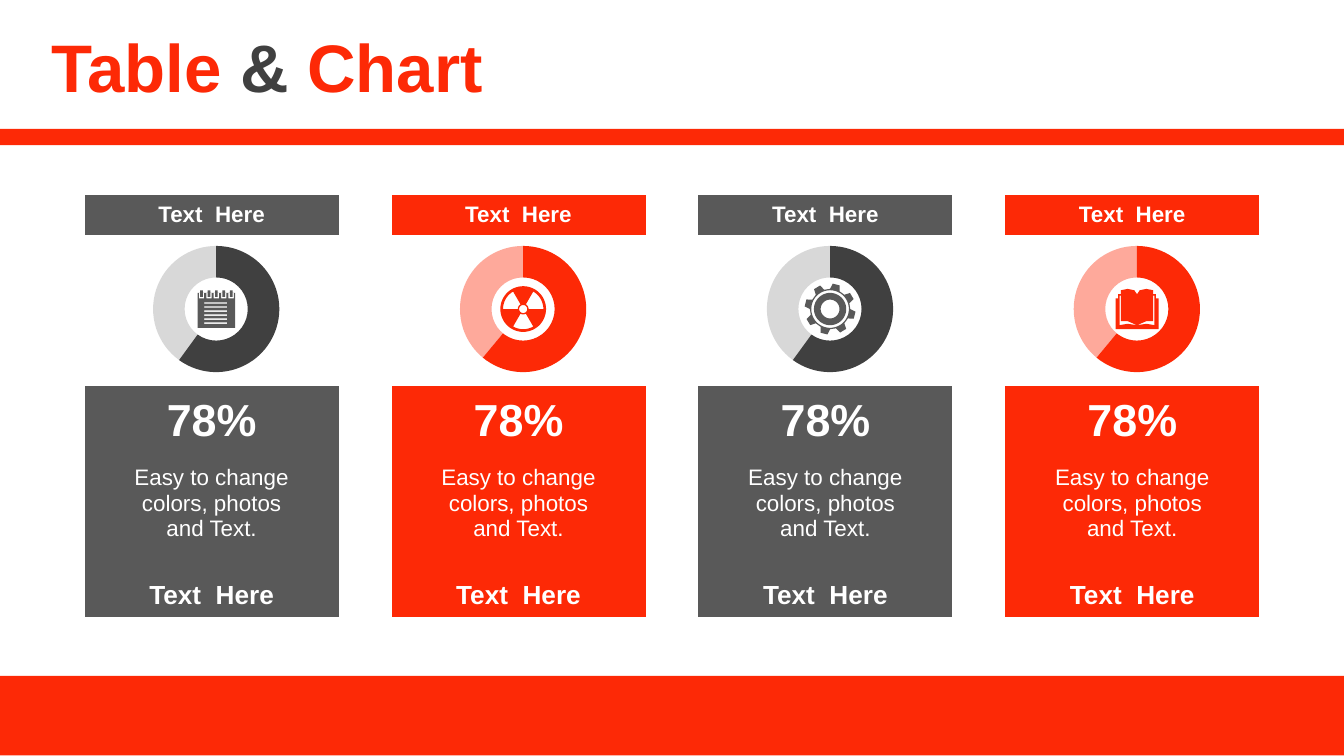
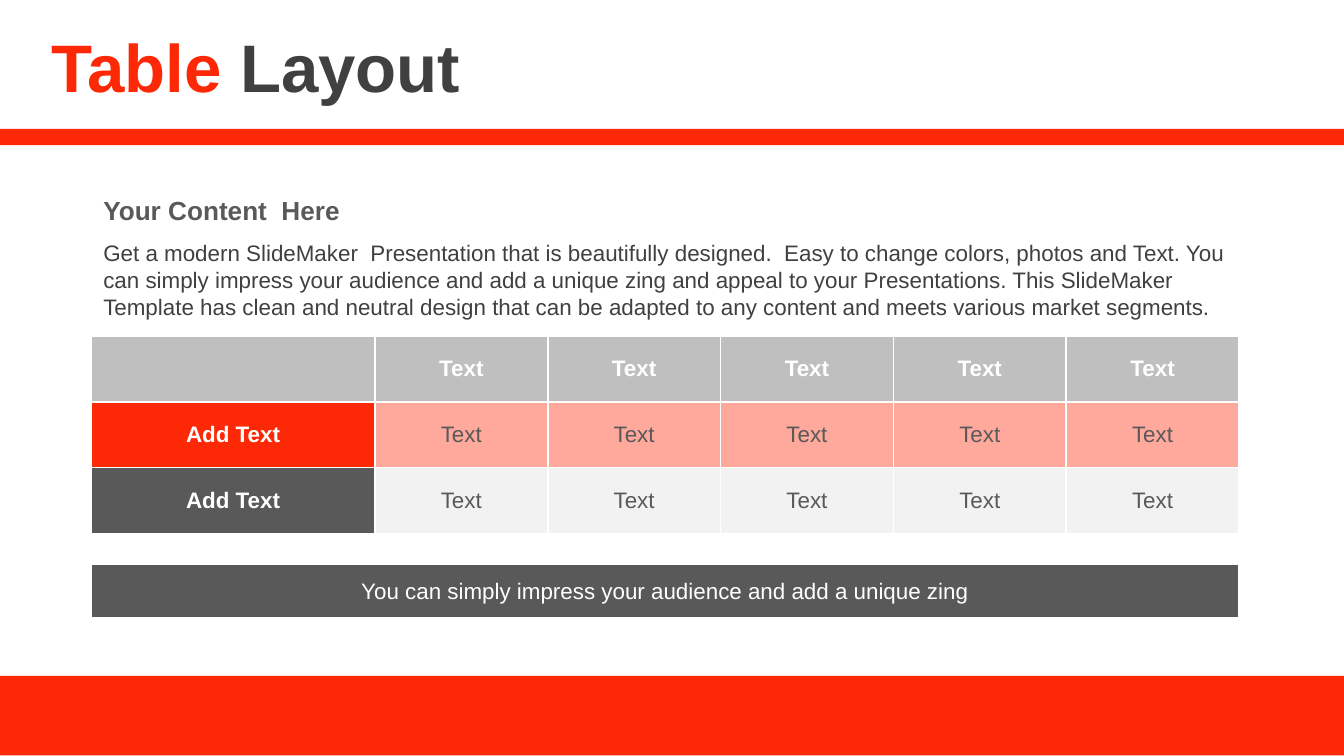
import math

import pptx
import pptx.chart.data
import pptx.dml.color
import pptx.enum.chart
import pptx.enum.shapes
import pptx.enum.text
import pptx.oxml
import pptx.oxml.ns
import pptx.util

Inches = pptx.util.Inches
qn = pptx.oxml.ns.qn
ALIGN = pptx.enum.text.PP_ALIGN
MIDDLE = pptx.enum.text.MSO_ANCHOR.MIDDLE
RED, DARK, GREY, WHITE = "FD2906", "404040", "595959", "FFFFFF"
SILVER, PALE = "BFBFBF", "F2F2F2"
PLAIN = "{2D5ABB26-0587-4C30-8999-92F81FD0307C}"  # table style without fills or grid


def paint(fill, color, alpha=100):
    """Make a fill solid, with its opacity in percent."""
    fill.solid()
    fill.fore_color.rgb = pptx.dml.color.RGBColor.from_string(color)
    if alpha < 100:
        tone = fill._xPr.find(qn("a:solidFill")).find(qn("a:srgbClr"))
        tone.append(pptx.oxml.parse_xml(
            f'<a:alpha {pptx.oxml.ns.nsdecls("a")} val="{alpha * 1000}"/>'))


def write(frame, parts, size, bold=False, align=ALIGN.CENTER):
    """Fill the first paragraph with (text, colour) runs."""
    para = frame.paragraphs[0]
    para.alignment = align
    look = {"name": "Arial", "size": pptx.util.Pt(size), "bold": bold}
    for text, color in parts:
        run = para.add_run()
        run.text = text
        for key, value in look.items():
            setattr(run.font, key, value)
        paint(run.font.fill, color)


prs = pptx.Presentation()
prs.slide_width, prs.slide_height = Inches(10), Inches(10 * 9 / 16)
layout = prs.slide_layouts[5]

# Slides with their titles
titles = [
    [("Table ", RED), ("& ", DARK), ("Chart", RED)],
    [("Table ", RED), ("Layout", DARK)],
]
slides = []
for parts in titles:
    slide = prs.slides.add_slide(layout)
    title = slide.shapes.title
    title.left, title.top = Inches(0.28), Inches(0)
    title.width, title.height = Inches(9.72), Inches(0.97)
    title.text_frame.vertical_anchor = MIDDLE
    write(title.text_frame, parts, 36, True, ALIGN.LEFT)
    slides.append(slide)
cards, grid = slides

# Bands shared through the layout
for top, height in [(5.03, 0.59), (0.96, 0.12)]:
    band = cards.shapes.add_shape(
        pptx.enum.shapes.MSO_SHAPE.RECTANGLE,
        0, Inches(top), prs.slide_width, Inches(height))
    band.shadow.inherit = False
    paint(band.fill, RED)
    band.line.fill.background()
    layout.shapes._spTree.insert(2, band._element)

# Icon outlines in inches around their centre; inner outlines cut holes
unit = [(math.cos(math.radians(a)), math.sin(math.radians(a)))
        for a in range(0, 360, 6)]

boxes = [(-0.14, -0.12, 0.14, 0.14)]
boxes += [(-0.09, -0.05 + 0.03 * n, 0.08, -0.04 + 0.03 * n) for n in range(6)]
for n in range(5):
    mid = 0.055 * (n - 2)
    boxes += [(mid - 0.02, -0.12, mid + 0.02, -0.08),
              (mid - 0.01, -0.14, mid + 0.01, -0.09)]
notepad = [[(l, t), (r, t), (r, b), (l, b)] for l, t, r, b in boxes]

hazard = [[(r * x, r * y) for x, y in unit] for r in (0.17, 0.03)]
for first in (10, 30, 50):
    arc = [unit[k % 60] for k in range(first, first + 11)]
    hazard.append([(0.15 * x, 0.15 * y) for x, y in arc]
                  + [(0.04 * x, 0.04 * y) for x, y in reversed(arc)])

teeth = []
for n in range(8):
    for turn, r in [(-14, 0.15), (-8, 0.19), (8, 0.19), (14, 0.15)]:
        angle = math.radians(14 + 45 * n + turn)
        teeth.append((r * math.cos(angle), r * math.sin(angle)))
gear = [teeth] + [[(r * x, r * y) for x, y in unit] for r in (0.14, 0.12, 0.07)]

cover = [(0, -0.11), (0.02, -0.14), (0.07, -0.15), (0.12, -0.14), (0.12, -0.11),
         (0.14, -0.11), (0.14, -0.08), (0.16, -0.08), (0.16, 0.15)]
edge = [(0, 0.12), (0.07, 0.11), (0.13, 0.12), (0.13, -0.1), (0.12, -0.1),
        (0.12, 0.09), (0.07, 0.09), (0, 0.12)]
book = [cover + [(-x, y) for x, y in reversed(cover)],
        edge, [(-x, y) for x, y in edge]]

# Slide 1: four cards, each a table, a doughnut and an icon
# Rows: height, text, size, bold, top and bottom margin
rows = [
    (0.3, "Text  Here", 12, True, 0.05, 0.05),
    (1.12, "", 0, False, 0.05, 0.05),
    (0.52, "78%", 24, True, 0.05, 0.05),
    (0.83, "Easy to change colors, photos and Text.", 12, False, 0.05, 0.17),
    (0.36, "Text  Here", 14, True, 0.1, 0.05),
]
styles = [(GREY, DARK, 60, 20), (RED, RED, 61, 40)]
for n, icon in enumerate([notepad, hazard, gear, book]):
    color, ring, share, alpha = styles[n % 2]
    left = 0.63 + 6.85 * n / 3
    holder = cards.shapes.add_table(
        5, 3, Inches(left), Inches(1.45), Inches(1.89), Inches(3.2))
    table = holder.table
    table.first_row = table.horz_banding = False
    table._tbl.tblPr.find(qn("a:tableStyleId")).text = PLAIN
    for col, width in zip(table.columns, [0.245, 1.4, 0.245]):
        col.width = Inches(width)
    for r, (height, text, size, bold, above, below) in enumerate(rows):
        table.rows[r].height = Inches(height)
        for c in range(3):
            if text:
                paint(table.cell(r, c).fill, color)
            else:
                table.cell(r, c).fill.background()
        whole = r in (0, 1, 4)
        if whole:
            table.cell(r, 0).merge(table.cell(r, 2))
        if text:
            cell = table.cell(r, 0 if whole else 1)
            cell.vertical_anchor = MIDDLE
            cell.margin_top, cell.margin_bottom = Inches(above), Inches(below)
            write(cell.text_frame, [(text, WHITE)], size, bold)
    holder.height = Inches(3.2)

    data = pptx.chart.data.CategoryChartData()
    data.categories = ["1", "2"]
    data.add_series("Series 1", [share, 100 - share])
    chart = cards.shapes.add_chart(
        pptx.enum.chart.XL_CHART_TYPE.DOUGHNUT,
        Inches(left + 0.45), Inches(1.83), Inches(1.08), Inches(0.94), data).chart
    chart.has_legend = chart.has_title = False
    chart.font.name, chart.font.size = "Arial", pptx.util.Pt(18)
    paint(chart.font.fill, "000000")
    plot = chart.plots[0]
    plot.has_data_labels = False
    for k, tint in enumerate([100, alpha]):
        look = plot.series[0].points[k].format
        paint(look.fill, ring, tint)
        look.line.fill.background()
    area = chart._chartSpace.find(".//" + qn("c:plotArea"))
    area.find(".//" + qn("c:holeSize")).set("val", "70")
    for old in area.findall(qn("c:layout")):
        area.remove(old)
    spots = [("x", 0.04), ("y", 0), ("w", 0.9), ("h", 1)]
    area.insert(0, pptx.oxml.parse_xml(
        f'<c:layout {pptx.oxml.ns.nsdecls("c")}><c:manualLayout>'
        '<c:layoutTarget val="inner"/><c:xMode val="edge"/><c:yMode val="edge"/>'
        + "".join(f'<c:{key} val="{value}"/>' for key, value in spots)
        + "</c:manualLayout></c:layout>"))

    for k, outline in enumerate(icon):
        points = [(Inches(left + 0.98 + x), Inches(2.3 + y)) for x, y in outline]
        if k == 0:
            pen = cards.shapes.build_freeform(*points[0])
        else:
            pen.move_to(*points[0])
        pen.add_line_segments(points[1:], close=True)
    shape = pen.convert_to_shape()
    shape.shadow.inherit = False
    paint(shape.fill, color)
    shape.line.fill.background()

# Slide 2: two bordered tables; a cell is text, text colour, bold, fill, opacity
head = [("Text", WHITE, True, SILVER, 100)] * 5
tables = [
    (2.5, 0.49, [2.11] + [1.286] * 5, [
        [("", WHITE, True, SILVER, 100)] + head,
        [("Add Text", WHITE, True, RED, 100)] + [("Text", GREY, False, RED, 40)] * 5,
        [("Add Text", WHITE, True, GREY, 100)] + [("Text", GREY, False, PALE, 100)] * 5,
    ]),
    (4.2, 0.4, [8.54], [
        [("You can simply impress your audience and add a unique zing",
          WHITE, False, GREY, 100)],
    ]),
]
for top, height, widths, lines in tables:
    table = grid.shapes.add_table(
        len(lines), len(widths), Inches(0.68), Inches(top),
        Inches(8.54), Inches(height * len(lines))).table
    table.first_row = table.horz_banding = False
    table._tbl.tblPr.find(qn("a:tableStyleId")).text = PLAIN
    for col, width in zip(table.columns, widths):
        col.width = Inches(width)
    for r, line in enumerate(lines):
        table.rows[r].height = Inches(height)
        for c, (text, color, bold, back, alpha) in enumerate(line):
            cell = table.cell(r, c)
            cell.vertical_anchor = MIDDLE
            paint(cell.fill, back, alpha)
            if text:
                write(cell.text_frame, [(text, color)], 12, bold)
            for k, side in enumerate("LRTB"):
                cell._tc.tcPr.insert(k, pptx.oxml.parse_xml(
                    f'<a:ln{side} {pptx.oxml.ns.nsdecls("a")} w="{pptx.util.Pt(1)}">'
                    f'<a:solidFill><a:srgbClr val="{WHITE}"/></a:solidFill>'
                    f'</a:ln{side}>'))

intro = ("Get a modern SlideMaker  Presentation that is beautifully designed.  "
         "Easy to change colors, photos and Text. You can simply impress your "
         "audience and add a unique zing and appeal to your Presentations. This "
         "SlideMaker Template has clean and neutral design that can be adapted to "
         "any content and meets various market segments.")
notes = [
    (1.73, 0.71, intro, 12, DARK, False),
    (1.4, 0.34, "Your Content  Here", 14, GREY, True),
]
for top, height, text, size, color, bold in notes:
    frame = grid.shapes.add_textbox(
        Inches(0.67), Inches(top), Inches(8.58), Inches(height)).text_frame
    frame.word_wrap = True
    write(frame, [(text, color)], size, bold, ALIGN.LEFT)

prs.save("out.pptx")
